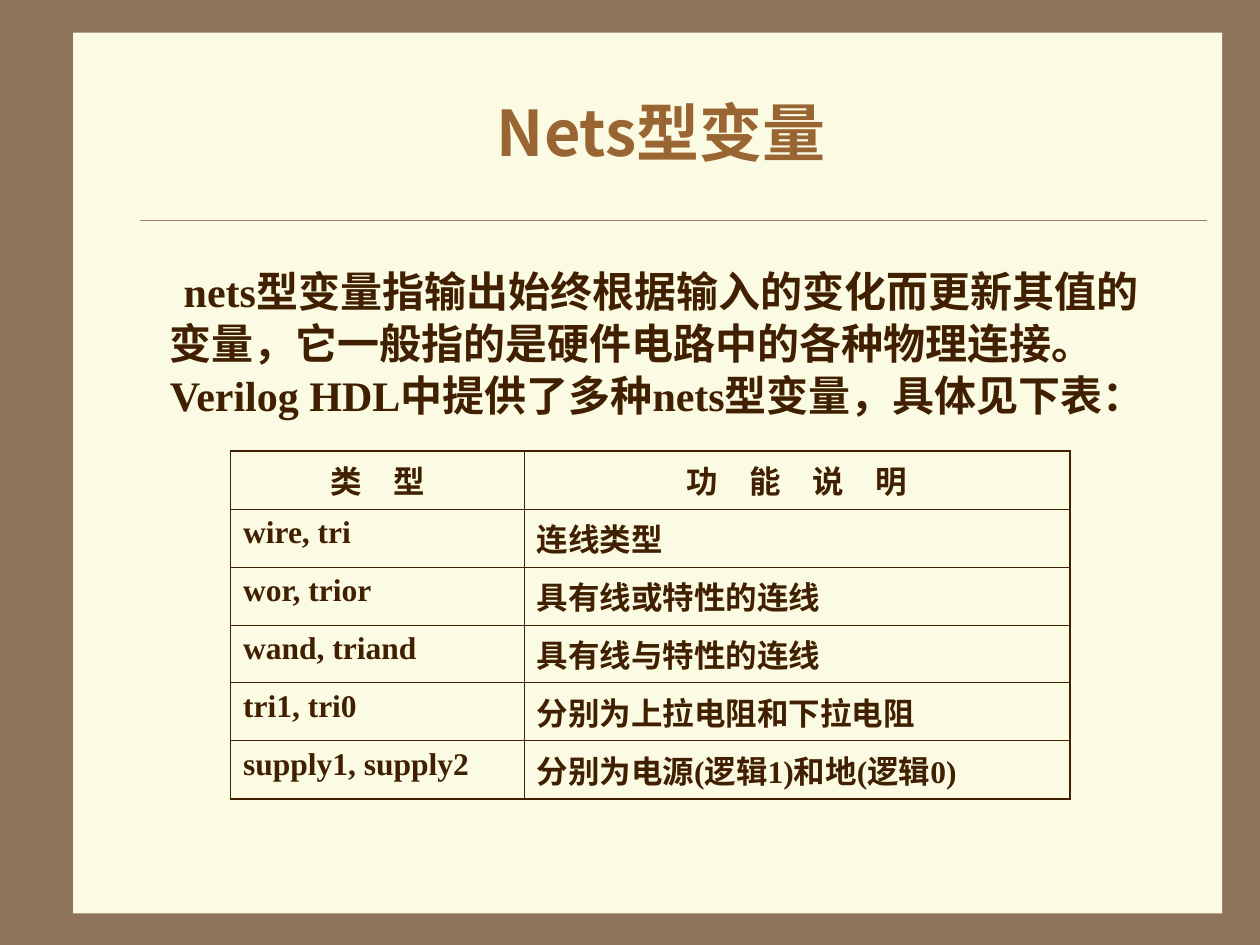
from dataclasses import dataclass

from lxml import etree
from pptx import Presentation
from pptx.dml.color import RGBColor
from pptx.enum.shapes import MSO_CONNECTOR, MSO_SHAPE
from pptx.enum.text import MSO_ANCHOR, PP_ALIGN
from pptx.oxml.ns import qn
from pptx.util import Inches, Pt

RECTANGLE = MSO_SHAPE.RECTANGLE
STRAIGHT = MSO_CONNECTOR.STRAIGHT
TOP, MIDDLE = MSO_ANCHOR.TOP, MSO_ANCHOR.MIDDLE
LEFT, CENTER, JUSTIFY = PP_ALIGN.LEFT, PP_ALIGN.CENTER, PP_ALIGN.JUSTIFY

COLORS = {
    "frame": "8C735A",
    "paper": "FBFAE2",
    "rule": "A08366",
    "title": "996633",
    "ink": "402000",
}
SANS = "Noto Sans CJK SC"
SERIF = "Times New Roman"
THICK, THIN = 1.08, 0.45
COL_WIDTHS = (2.33, 4.33)
ROW_HEIGHT = 0.46
HANGING = 0.38


@dataclass
class Box:
    left: float
    top: float
    width: float
    height: float

    def emu(self):
        return [Inches(v) for v in (self.left, self.top, self.width, self.height)]


@dataclass
class Style:
    size: float
    font: str
    color: str


@dataclass
class NetType:
    names: str
    meaning: str


TITLE = Style(36, SANS, "title")
BODY = Style(24, SERIF, "ink")
CELL = Style(18, SERIF, "ink")

BODY_LINES = (
    "nets型变量指输出始终根据输入的变化而更新其值的",
    "变量，它一般指的是硬件电路中的各种物理连接。",
    "Verilog HDL中提供了多种nets型变量，具体见下表：",
)
NET_TYPES = (
    NetType("类　型", "功　能　说　明"),
    NetType("wire, tri", "连线类型"),
    NetType("wor, trior", "具有线或特性的连线"),
    NetType("wand, triand", "具有线与特性的连线"),
    NetType("tri1, tri0", "分别为上拉电阻和下拉电阻"),
    NetType("supply1, supply2", "分别为电源(逻辑1)和地(逻辑0)"),
)


def rgb(name: str) -> RGBColor:
    return RGBColor.from_string(COLORS[name])


def add_run(p, text: str, style: Style) -> None:
    r = p.add_run()
    r.text = text
    r.font.size = Pt(style.size)
    r.font.bold = True
    r.font.name = style.font
    r.font.color.rgb = rgb(style.color)
    ea = etree.SubElement(r.font._element, qn("a:ea"))
    ea.set("typeface", SANS)


def add_paper(s, box: Box) -> None:
    sp = s.shapes.add_shape(RECTANGLE, *box.emu())
    sp.shadow.inherit = False
    sp.fill.solid()
    sp.fill.fore_color.rgb = rgb("paper")
    sp.line.fill.background()


def add_rule(s, left: float, right: float, y: float) -> None:
    line = s.shapes.add_connector(
        STRAIGHT, Inches(left), Inches(y), Inches(right), Inches(y)
    )
    line.line.color.rgb = rgb("rule")
    line.line.width = Pt(0.25)
    etree.SubElement(line._element.spPr, qn("a:effectLst"))


def add_text_frame(s, box: Box, anchor):
    sp = s.shapes.add_textbox(*box.emu())
    sp.fill.solid()
    sp.fill.fore_color.rgb = rgb("paper")
    tf = sp.text_frame
    tf.word_wrap = True
    tf.vertical_anchor = anchor
    return tf


def add_title(s) -> None:
    tf = add_text_frame(s, Box(1, 0.58, 8.5, 0.92), MIDDLE)
    p = tf.paragraphs[0]
    p.alignment = CENTER
    add_run(p, "Nets型变量", TITLE)


def add_body(s) -> None:
    tf = add_text_frame(s, Box(1.25, 1.92, 8.25, 5), TOP)
    tf.margin_top = Inches(0.18)
    for i, text in enumerate(BODY_LINES):
        p = tf.add_paragraph() if i else tf.paragraphs[0]
        p.alignment = JUSTIFY
        p.line_spacing = Pt(29.5)
        first_line = -HANGING if i else 0.11 - HANGING
        pPr = p._p.get_or_add_pPr()
        pPr.set("marL", str(Inches(HANGING)))
        pPr.set("indent", str(Inches(first_line)))
        add_run(p, text, BODY)


def add_border(cell, side: str, width: float) -> None:
    ln = etree.SubElement(cell._tc.get_or_add_tcPr(), qn(f"a:ln{side}"))
    ln.set("w", str(Pt(width)))
    fill = etree.SubElement(ln, qn("a:solidFill"))
    etree.SubElement(fill, qn("a:srgbClr")).set("val", COLORS["ink"])


def add_net_table(s) -> None:
    rows, cols = len(NET_TYPES), len(COL_WIDTHS)
    box = Box(1.83, 3.58, sum(COL_WIDTHS), rows * ROW_HEIGHT)
    table = s.shapes.add_table(rows, cols, *box.emu()).table
    table.first_row = False
    table.horz_banding = False
    for column, width in zip(table.columns, COL_WIDTHS):
        column.width = Inches(width)
    for i, net in enumerate(NET_TYPES):
        table.rows[i].height = Inches(ROW_HEIGHT)
        for j, text in enumerate((net.names, net.meaning)):
            cell = table.cell(i, j)
            outer = {"L": j == 0, "R": j == cols - 1, "T": i == 0, "B": i == rows - 1}
            for side, is_outer in outer.items():
                add_border(cell, side, THICK if is_outer else THIN)
            cell.fill.background()
            p = cell.text_frame.paragraphs[0]
            p.alignment = LEFT if i else CENTER
            add_run(p, text, CELL)


def main() -> None:
    prs = Presentation()
    prs.slide_width, prs.slide_height = Inches(10), Inches(7.5)
    s = prs.slides.add_slide(prs.slide_layouts[6])
    s.background.fill.solid()
    s.background.fill.fore_color.rgb = rgb("frame")
    add_paper(s, Box(0.58, 0.26, 9.12, 6.99))
    add_rule(s, 1.11, 9.58, 1.75)
    add_title(s)
    add_body(s)
    add_net_table(s)
    prs.save("out.pptx")


if __name__ == "__main__":
    main()
